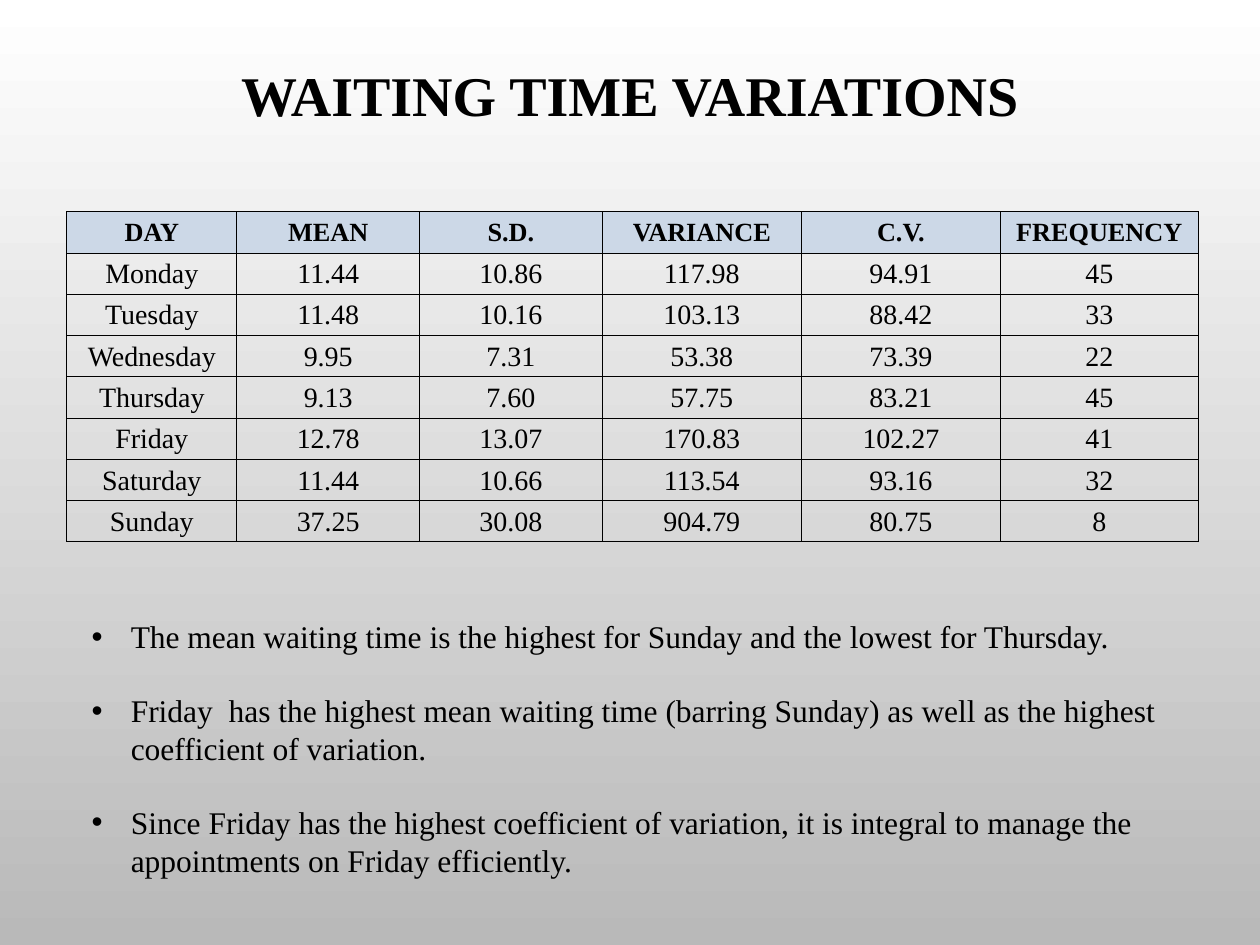
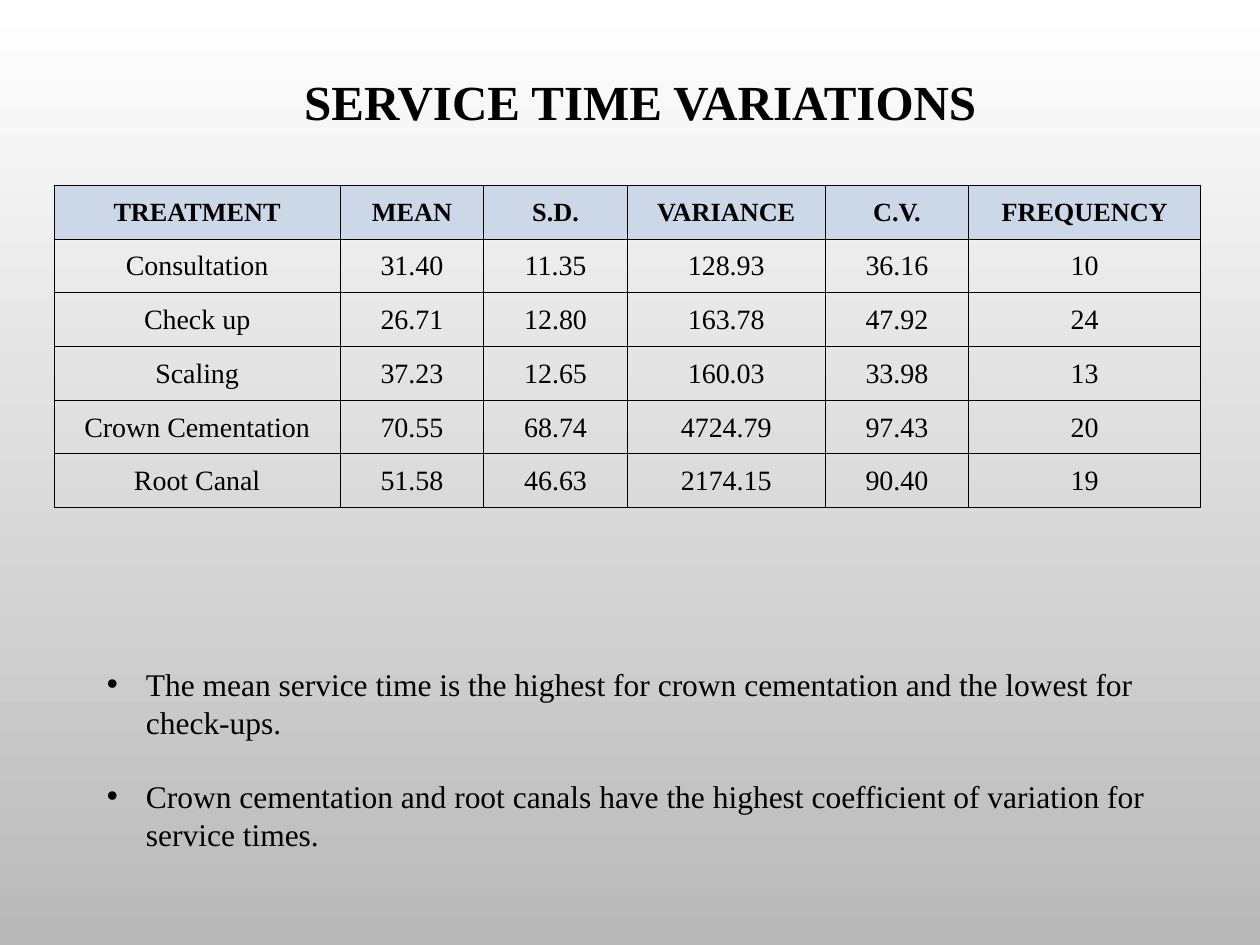
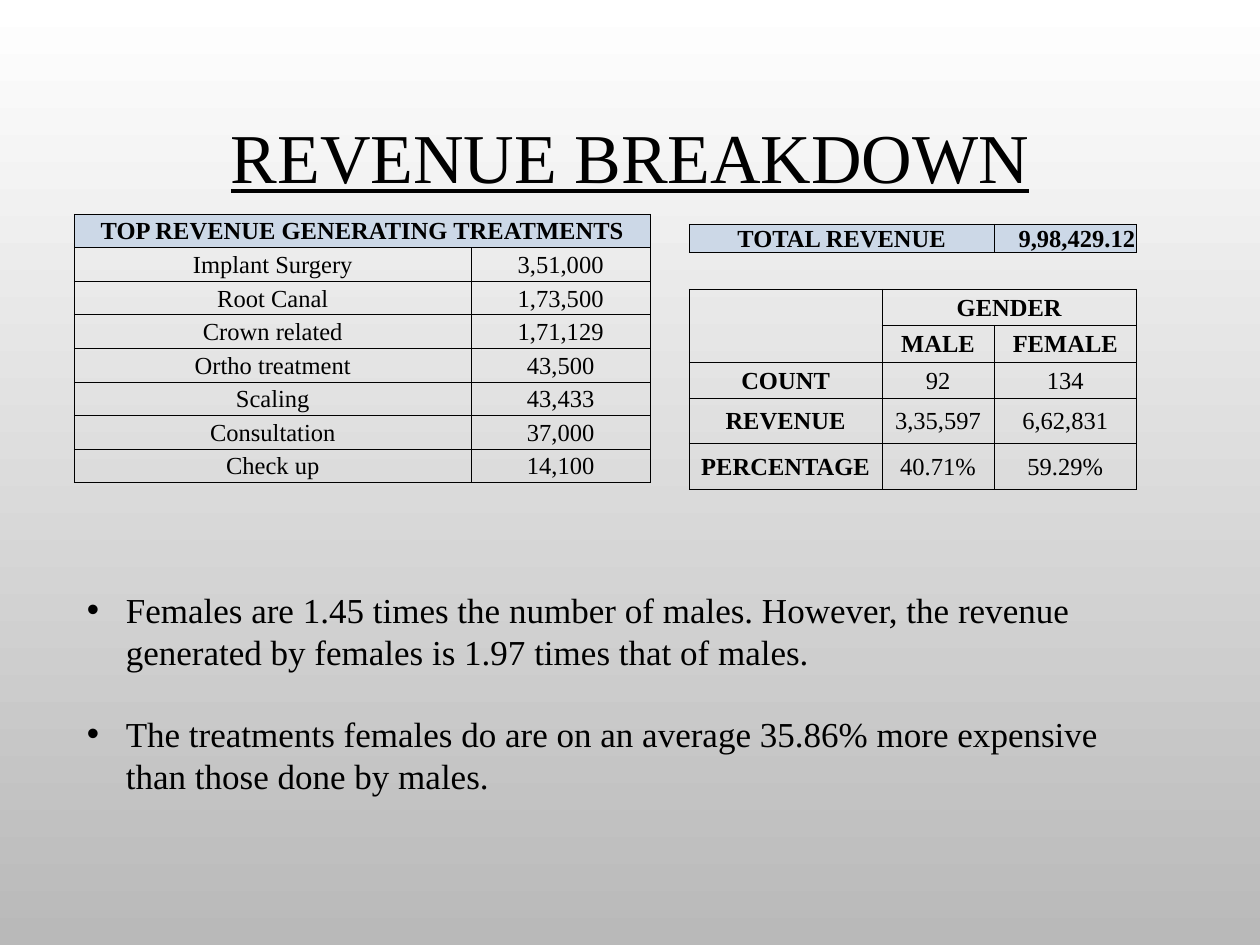
"""Build three slides on waiting times, service times and revenue."""
from dataclasses import dataclass, field
from typing import Any, NamedTuple

from lxml import etree
from pptx import Presentation, util as u
from pptx.dml import color
from pptx.enum import text
from pptx.oxml import ns

WIDTH, HEIGHT = u.Inches(10), u.Inches(7.5)
FONT = "Times New Roman"
COLORS = {"ink": "000000", "head": "CCD8E7", "top": "FFFFFF", "bottom": "B9B9B9"}
LINE_RATIO = 1.15
PLAIN_STYLE = "{2D5ABB26-0587-4C30-8999-92F81FD0307C}"
CELL_MARGINS = {
    "margin_left": u.Inches(0.01), "margin_right": u.Inches(0.01),
    "margin_top": u.Inches(0.01), "margin_bottom": 0,
}
MIDDLE, TOP, BOTTOM = (
    text.MSO_ANCHOR.MIDDLE, text.MSO_ANCHOR.TOP, text.MSO_ANCHOR.BOTTOM
)
CENTER, RIGHT = text.PP_ALIGN.CENTER, text.PP_ALIGN.RIGHT


class Box(NamedTuple):
    """A place given in percent of the slide's width and height."""
    left: float
    top: float
    width: float
    height: float


@dataclass
class Title:
    """A slide title with its place and font values."""
    words: str
    box: Box
    size: int
    fmt: dict[str, Any]
    anchor: Any = TOP


@dataclass
class Bullets:
    """A bulleted list with its place and text size."""
    box: Box
    size: int
    items: list[str]


@dataclass
class Grid:
    """A table whose columns and rows are percent of the slide."""
    left: float
    top: float
    cols: list[float]
    rows: list[float]
    lines: list[str]
    head_size: int = 14
    body_size: int = 14
    bold_rows: int = 1
    bold_cols: int = 0
    head_anchor: Any = MIDDLE
    merges: list[tuple[int, int, int, int]] = field(default_factory=list)
    open_rows: tuple[int, ...] = ()
    right_cells: tuple[tuple[int, int], ...] = ()


@dataclass
class Page:
    """Everything that one slide shows."""
    title: Title
    bullets: Bullets
    grids: list[Grid]


def across(share: float) -> int:
    """Turn a percent of the slide's width into a length."""
    return round(WIDTH * share / 100)


def down(share: float) -> int:
    """Turn a percent of the slide's height into a length."""
    return round(HEIGHT * share / 100)


def rgb(name: str) -> color.RGBColor:
    """Look up a named colour."""
    return color.RGBColor.from_string(COLORS[name])


def assign(obj: Any, values: dict[str, Any]) -> None:
    """Set every attribute in a dict of format values."""
    for name, value in values.items():
        setattr(obj, name, value)


def place(box: Box) -> dict[str, int]:
    """Give a box as position attributes."""
    return {
        "left": across(box.left), "top": down(box.top),
        "width": across(box.width), "height": down(box.height),
    }


def add_run(p: Any, words: str, size: int, **fmt: Any) -> None:
    """Add a run in the deck's font and ink."""
    r = p.add_run()
    r.text = words
    assign(r.font, {"name": FONT, "size": u.Pt(size), **fmt})
    r.font.color.rgb = rgb("ink")


def draw_title(s: Any, title: Title) -> None:
    """Move, fill and format the title placeholder."""
    sp = s.shapes.title
    assign(sp, place(title.box))
    tf = sp.text_frame
    assign(tf, {
        "word_wrap": True, "auto_size": text.MSO_AUTO_SIZE.NONE,
        "vertical_anchor": title.anchor,
    })
    p = tf.paragraphs[0]
    p.alignment = CENTER
    add_run(p, title.words, title.size, **title.fmt)


def draw_bullets(s: Any, bullets: Bullets) -> None:
    """Draw a bulleted list with one line of space between items."""
    sp = s.shapes.add_textbox(**place(bullets.box))
    tf = sp.text_frame
    tf.word_wrap = True
    for i, item in enumerate(bullets.items):
        p = tf.add_paragraph() if i else tf.paragraphs[0]
        if i:
            p.space_before = u.Pt(round(bullets.size * LINE_RATIO, 1))
        add_run(p, item, bullets.size)
        pr = p._p.get_or_add_pPr()
        indent = u.Inches(0.31)
        pr.set("marL", str(indent))
        pr.set("indent", str(-indent))
        etree.SubElement(pr, ns.qn("a:buFont"), typeface="Arial")
        etree.SubElement(pr, ns.qn("a:buChar"), char="•")


def draw_borders(cell: Any, sides: str) -> None:
    """Draw thin lines on the given sides of a cell."""
    pr = cell._tc.get_or_add_tcPr()
    for i, side in enumerate(sides):
        ln = etree.Element(ns.qn(f"a:ln{side}"), w=str(u.Pt(0.5)))
        fill = etree.SubElement(ln, ns.qn("a:solidFill"))
        etree.SubElement(fill, ns.qn("a:srgbClr"), val=COLORS["ink"])
        pr.insert(i, ln)


def draw_cell(cell: Any, grid: Grid, row: int, col: int, words: str) -> None:
    """Fill and format one table cell."""
    head = row == 0
    assign(cell, {
        **CELL_MARGINS, "vertical_anchor": grid.head_anchor if head else MIDDLE
    })
    if head:
        cell.fill.solid()
        cell.fill.fore_color.rgb = rgb("head")
    else:
        cell.fill.background()
    draw_borders(cell, "TB" if row in grid.open_rows else "LRTB")
    p = cell.text_frame.paragraphs[0]
    p.alignment = RIGHT if (row, col) in grid.right_cells else CENTER
    size = grid.head_size if head else grid.body_size
    if words:
        bold = row < grid.bold_rows or col < grid.bold_cols
        add_run(p, words, size, bold=bold)
    else:
        p._p.get_or_add_endParaRPr().set("sz", str(size * 100))


def draw_grid(s: Any, grid: Grid) -> None:
    """Draw a table."""
    box = Box(grid.left, grid.top, sum(grid.cols), sum(grid.rows))
    gf = s.shapes.add_table(len(grid.rows), len(grid.cols), **place(box))
    next(gf._element.iter(ns.qn("a:tableStyleId"))).text = PLAIN_STYLE
    table = gf.table
    table.horz_banding = False
    for column, share in zip(table.columns, grid.cols):
        column.width = across(share)
    for i, (share, line) in enumerate(zip(grid.rows, grid.lines)):
        table.rows[i].height = down(share)
        words = line.split("|")
        for j in range(len(grid.cols)):
            draw_cell(table.cell(i, j), grid, i, j, words[j])
    for top, left, bottom, right in grid.merges:
        table.cell(top, left).merge(table.cell(bottom, right))


PAGES = [
    Page(
        Title("WAITING TIME VARIATIONS", Box(17.3, 5.73, 65.4, 8.53), 32,
              {"bold": True}),
        Bullets(Box(6.3, 64.67, 87.4, 29.6), 18, [
            "The mean waiting time is the highest for Sunday and the lowest for Thursday.",
            "Friday  has the highest mean waiting time (barring Sunday) as well as "
            "the highest coefficient of variation.",
            "Since Friday has the highest coefficient of variation, it is integral "
            "to manage the appointments on Friday efficiently.",
        ]),
        [Grid(5.3, 22.4, [13.5, 14.5, 14.5, 15.8, 15.8, 15.7], [4.37] * 8, [
            "DAY|MEAN|S.D.|VARIANCE|C.V.|FREQUENCY",
            "Monday|11.44|10.86|117.98|94.91|45",
            "Tuesday|11.48|10.16|103.13|88.42|33",
            "Wednesday|9.95|7.31|53.38|73.39|22",
            "Thursday|9.13|7.60|57.75|83.21|45",
            "Friday|12.78|13.07|170.83|102.27|41",
            "Saturday|11.44|10.66|113.54|93.16|32",
            "Sunday|37.25|30.08|904.79|80.75|8",
        ], head_size=15, body_size=16)],
    ),
    Page(
        Title("SERVICE TIME VARIATIONS", Box(19.3, 6.93, 63, 7.6), 28,
              {"bold": True}),
        Bullets(Box(7.5, 69.73, 85, 21.6), 18, [
            "The mean service time is the highest for crown cementation and the "
            "lowest for check-ups.",
            "Crown cementation and root canals have the highest coefficient of "
            "variation for service times.",
        ]),
        [Grid(4.3, 19.6, [22.7, 11.4, 11.4, 15.7, 11.4, 18.4], [5.69] * 6, [
            "TREATMENT|MEAN|S.D.|VARIANCE|C.V.|FREQUENCY",
            "Consultation|31.40|11.35|128.93|36.16|10",
            "Check up|26.71|12.80|163.78|47.92|24",
            "Scaling|37.23|12.65|160.03|33.98|13",
            "Crown Cementation|70.55|68.74|4724.79|97.43|20",
            "Root Canal|51.58|46.63|2174.15|90.40|19",
        ], head_size=15, body_size=16)],
    ),
    Page(
        Title("REVENUE BREAKDOWN", Box(5, 8.13, 90, 16.67), 40,
              {"underline": True}, MIDDLE),
        Bullets(Box(5.9, 61.6, 85.8, 28.27), 20, [
            "Females are 1.45 times the number of males. However, the revenue "
            "generated by females is 1.97 times that of males.",
            "The treatments females do are on an average 35.86% more expensive "
            "than those done by males.",
        ]),
        [
            Grid(5.9, 22.67, [31.5, 14.2], [3.55] * 8, [
                "TOP REVENUE GENERATING TREATMENTS|",
                "Implant Surgery|3,51,000",
                "Root Canal|1,73,500",
                "Crown related|1,71,129",
                "Ortho treatment|43,500",
                "Scaling|43,433",
                "Consultation|37,000",
                "Check up|14,100",
            ], merges=[(0, 0, 0, 1)]),
            Grid(54.7, 23.73, [15.3, 8.9, 11.3],
                 [2.8, 3.87, 3.87, 3.87, 3.87, 4.67, 4.93], [
                "TOTAL REVENUE||9,98,429.12",
                "||",
                "|GENDER|",
                "|MALE|FEMALE",
                "COUNT|92|134",
                "REVENUE|3,35,597|6,62,831",
                "PERCENTAGE|40.71%|59.29%",
            ], bold_rows=4, bold_cols=1, head_anchor=BOTTOM,
                merges=[(0, 0, 0, 1), (2, 0, 3, 0), (2, 1, 2, 2)],
                open_rows=(1,), right_cells=((0, 2),)),
        ],
    ),
]


def main() -> None:
    """Build and save the deck."""
    prs = Presentation()
    assign(prs, {"slide_width": WIDTH, "slide_height": HEIGHT})
    fill = prs.slide_master.background.fill
    fill.gradient()
    fill.gradient_angle = 270
    for stop, name in zip(fill.gradient_stops, ("top", "bottom")):
        stop.color.rgb = rgb(name)
    for page in PAGES:
        s = prs.slides.add_slide(prs.slide_layouts[5])
        draw_title(s, page.title)
        for grid in page.grids:
            draw_grid(s, grid)
        draw_bullets(s, page.bullets)
    prs.save("out.pptx")


if __name__ == "__main__":
    main()
